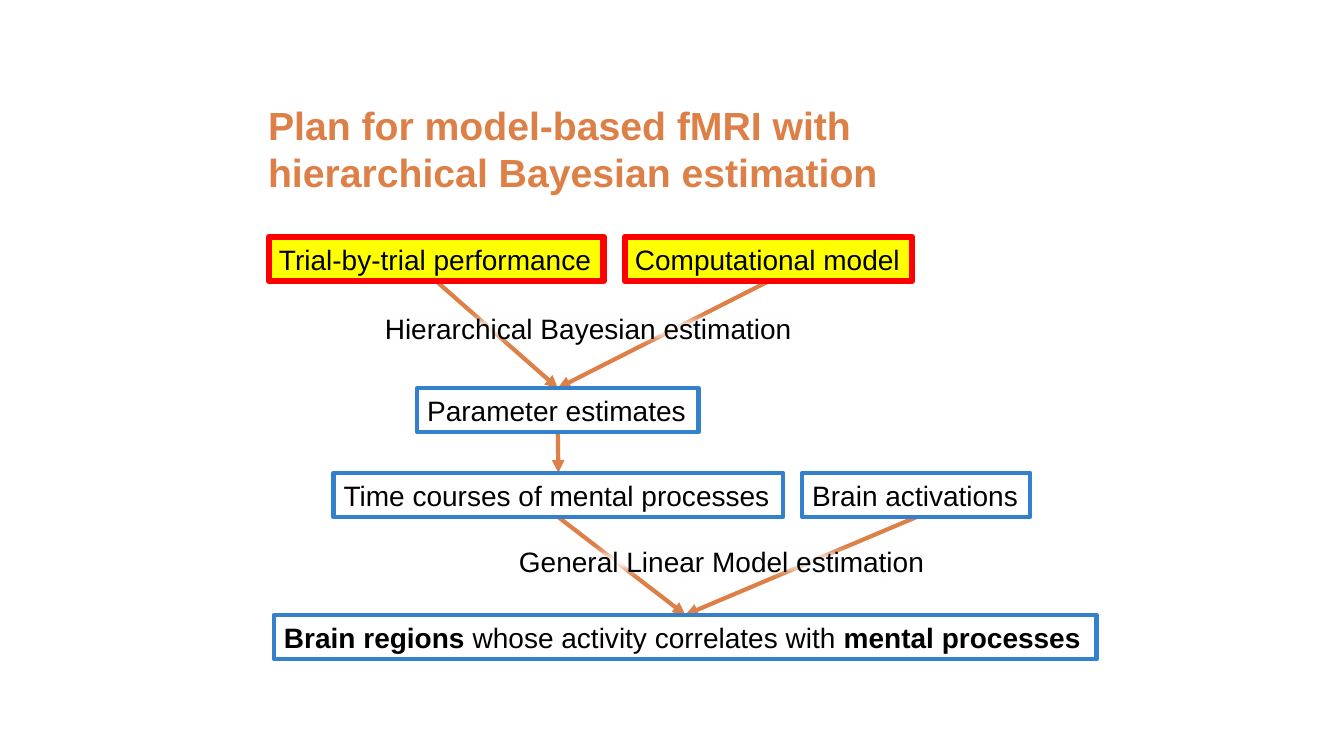
"""Build the slide with the plan for model-based fMRI analysis."""
import pptx
import pptx.util
import pptx.dml.color
import pptx.enum.shapes
import pptx.enum.text
import pptx.oxml
import pptx.oxml.ns

Pt = pptx.util.Pt
RGB = pptx.dml.color.RGBColor
ORANGE = RGB(0xDD, 0x80, 0x47)
BLUE = RGB(0x33, 0x80, 0xCD)
RED = RGB(0xFF, 0x00, 0x00)
YELLOW = RGB(0xFF, 0xFF, 0x00)
WHITE = RGB(0xFF, 0xFF, 0xFF)
BLACK = RGB(0x00, 0x00, 0x00)
RECT = pptx.enum.shapes.MSO_SHAPE.RECTANGLE
STRAIGHT = pptx.enum.shapes.MSO_CONNECTOR.STRAIGHT
LEFT = pptx.enum.text.PP_ALIGN.LEFT
MIDDLE = pptx.enum.text.MSO_ANCHOR.MIDDLE
NS = pptx.oxml.ns.nsdecls("a")
HIGH = 31.7

deck = pptx.Presentation()
deck.slide_width, deck.slide_height = Pt(960), Pt(540)
slide = deck.slides.add_slide(deck.slide_layouts[5])


def add_box(left, top, width, parts, fill):
    box = slide.shapes.add_shape(RECT, Pt(left), Pt(top), Pt(width), Pt(HIGH))
    box.shadow.inherit = False
    box.fill.solid()
    box.fill.fore_color.rgb = fill
    box.line.fill.background()
    frame = box.text_frame
    frame.word_wrap = False
    frame.vertical_anchor = MIDDLE
    para = frame.paragraphs[0]
    para.alignment = LEFT
    for text, bold in parts:
        run = para.add_run()
        run.text = text
        run.font.name = "Arial"
        run.font.size = Pt(20)
        run.font.bold = bold
        run.font.color.rgb = BLACK
    return box


title = slide.shapes.title
title.left, title.top, title.width, title.height = Pt(184.3), Pt(69), Pt(594), Pt(90)
frame = title.text_frame
frame.text = "Plan for model-based fMRI with\vhierarchical Bayesian estimation"
frame.word_wrap = True
frame.auto_size = pptx.enum.text.MSO_AUTO_SIZE.NONE
frame.vertical_anchor = pptx.enum.text.MSO_ANCHOR.TOP
para = frame.paragraphs[0]
para.alignment = LEFT
para.line_spacing = Pt(33.6)
for run in para.runs:
    run.font.name = "Arial"
    run.font.size = Pt(28)
    run.font.bold = True
    run.font.color.rgb = ORANGE

pairs = [
    ("model", "params"),
    ("trials", "params"),
    ("params", "courses"),
    ("courses", "regions"),
    ("brain", "regions"),
]
links = []
for pair in pairs:
    link = slide.shapes.add_connector(STRAIGHT, Pt(0), Pt(0), Pt(0), Pt(0))
    link.line.color.rgb = ORANGE
    link.line.width = Pt(3)
    link.line._get_or_add_ln().append(pptx.oxml.parse_xml(f'<a:tailEnd {NS} type="triangle"/>'))
    link._element.spPr.append(pptx.oxml.parse_xml(f"<a:effectLst {NS}/>"))
    links.append(link)

labels = [
    (363.6, 385.2, 306, "General Linear Model estimation"),
    (267.8, 218.9, 307.4, "Hierarchical Bayesian estimation"),
]
for left, top, width, text in labels:
    label = add_box(left, top, width, [(text, False)], WHITE)
    effects = label._element.spPr.find(pptx.oxml.ns.qn("a:effectLst"))
    effects.append(pptx.oxml.parse_xml(f'<a:softEdge {NS} rad="112500"/>'))

inputs = (YELLOW, RED, 4.5)
steps = (WHITE, BLUE, 3)
finding = [
    ("Brain regions", True),
    (" whose activity correlates with ", False),
    ("mental processes", True),
]
plan = [
    ("trials", 192.2, 169.2, 239, [("Trial-by-trial performance", False)], inputs),
    ("model", 446.4, 169.2, 205.2, [("Computational model", False)], inputs),
    ("params", 298, 277.2, 200.9, [("Parameter estimates", False)], steps),
    ("courses", 238.3, 337.7, 321.1, [("Time courses of mental processes", False)], steps),
    ("brain", 573.1, 337.7, 162.7, [("Brain activations", False)], steps),
    ("regions", 195.8, 439.2, 587.5, finding, steps),
]
boxes = {}
for name, left, top, width, parts, (fill, edge, weight) in plan:
    box = add_box(left, top, width, parts, fill)
    box.line.color.rgb = edge
    box.line.width = Pt(weight)
    boxes[name] = box

for link, (start, end) in zip(links, pairs):
    link.begin_connect(boxes[start], 2)
    link.end_connect(boxes[end], 0)

deck.save("out.pptx")
